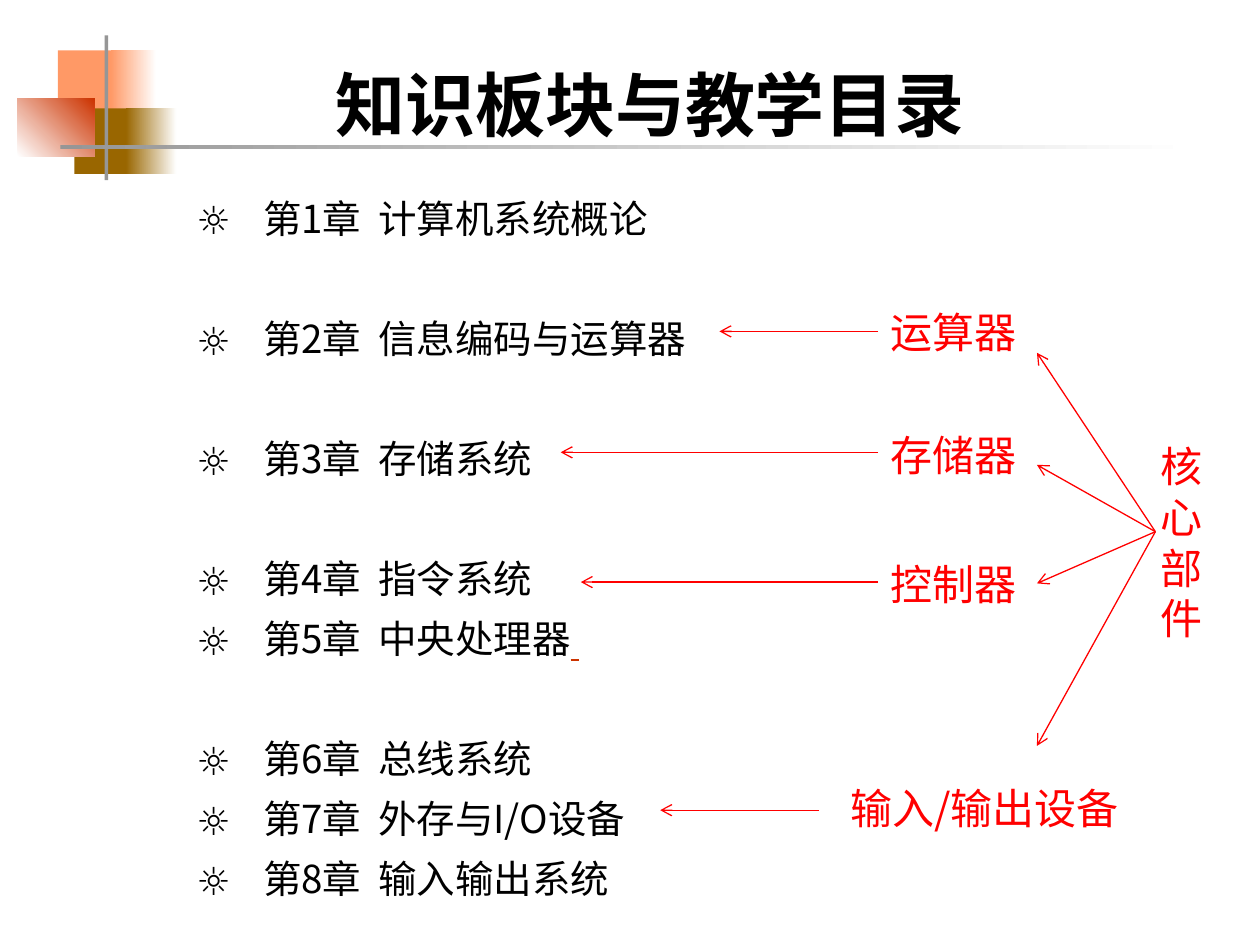
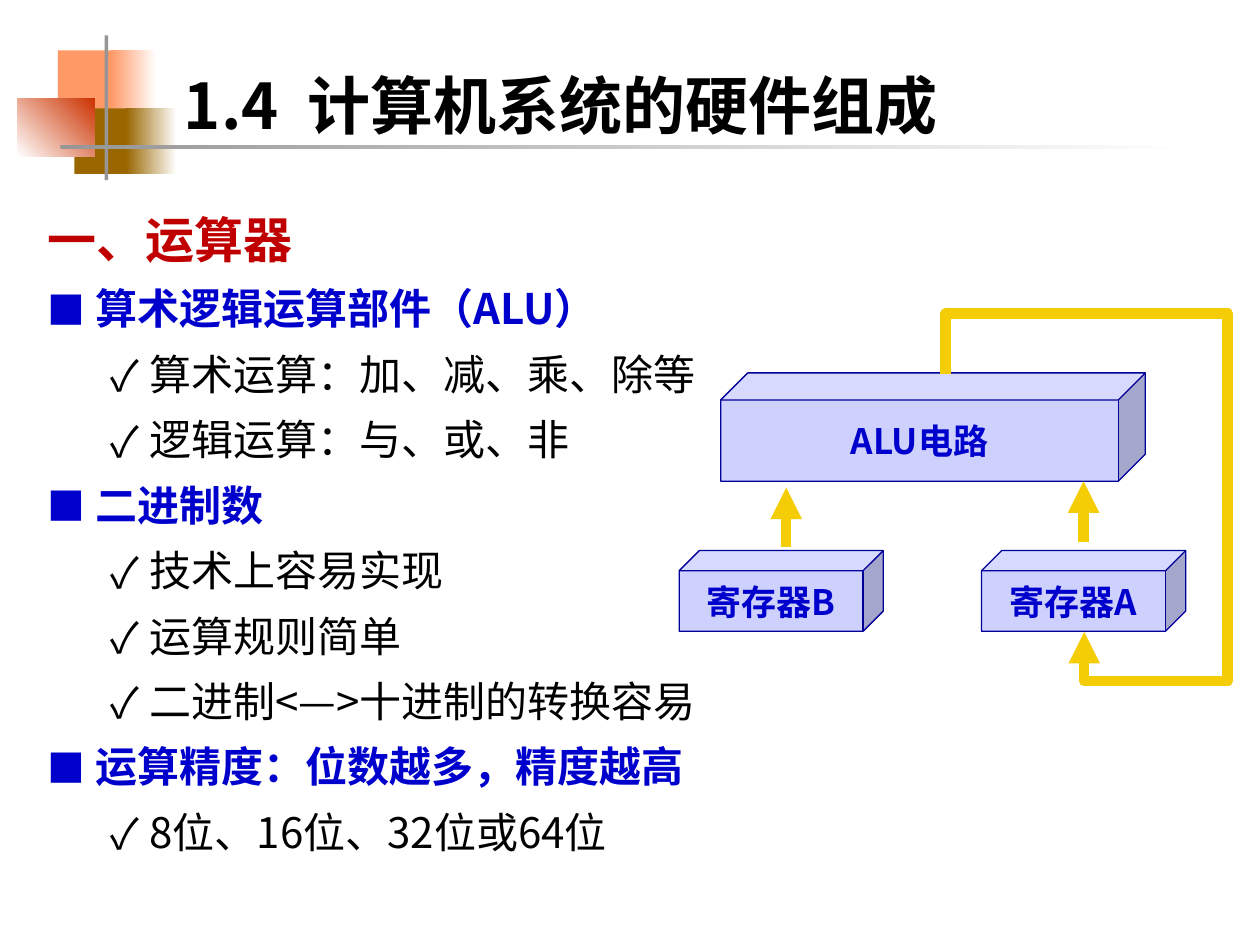
import lxml.etree
import pptx
import pptx.dml.color
import pptx.enum.shapes
import pptx.enum.text
import pptx.oxml.ns
import pptx.util

RGB = pptx.dml.color.RGBColor
SHAPES = pptx.enum.shapes.MSO_SHAPE
CONNECTORS = pptx.enum.shapes.MSO_CONNECTOR
ALIGN = pptx.enum.text.PP_ALIGN
ANCHOR = pptx.enum.text.MSO_ANCHOR

BLACK = RGB(0x00, 0x00, 0x00)
WHITE = RGB(0xFF, 0xFF, 0xFF)
ORANGE = RGB(0xFF, 0x99, 0x66)
BROWN = RGB(0x99, 0x66, 0x00)
BRICK = RGB(0xCC, 0x33, 0x00)
GRAY = RGB(0x96, 0x96, 0x96)
RED = RGB(0xFF, 0x00, 0x00)
DARK_RED = RGB(0xC0, 0x00, 0x00)
BLUE = RGB(0x00, 0x00, 0xCC)
NAVY = RGB(0x00, 0x00, 0x99)
LAVENDER = RGB(0xCE, 0xD0, 0xFE)
GOLD = RGB(0xF5, 0xCD, 0x06)

CJK_FONT = "Noto Sans CJK SC"
EMU_PER_PX = 9144  # 100 px to the inch
LINE_PITCH = 1.56  # line height of lists, relative to the text size

# left, top, width, height, first colour, second colour, gradient angle
MOTIF = [
    (46, 40, 48, 52, ORANGE, None, 0),
    (88, 40, 36, 52, ORANGE, WHITE, 0),
    (59, 86, 46, 52, BROWN, None, 0),
    (100, 86, 40, 52, BROWN, WHITE, 0),
    (14, 78, 61, 46, WHITE, BRICK, 45),
    (83, 28, 3, 115, GRAY, None, 0),
    (48, 115, 900, 3, GRAY, WHITE, 0),
]

# chapter, whether a gap precedes it
CHAPTERS = [
    ("第1章  计算机系统概论", False),
    ("第2章  信息编码与运算器", True),
    ("第3章  存储系统", True),
    ("第4章  指令系统", True),
    ("第5章  中央处理器", False),
    ("第6章  总线系统", True),
    ("第7章  外存与I/O设备", False),
    ("第8章  输入输出系统", False),
]

# part, left, top, width, arrow from x, arrow to x, arrow y, fan arrow end y
CORE_PARTS = [
    ("运算器", 697, 238, 142, 697, 571, 263, 280),
    ("存储器", 697, 336, 142, 697, 445, 359, 369),
    ("控制器", 697, 438, 142, 697, 461, 462, 463),
    ("输入/输出设备", 665, 616, 251, 650, 524, 643, 592),
]
FAN_ORIGIN = (917, 422)
FAN_END_X = 823

ALU_TOPICS = [
    ("算术逻辑运算部件（ALU）", ["算术运算：加、减、乘、除等", "逻辑运算：与、或、非"]),
    ("二进制数", ["技术上容易实现", "运算规则简单", "二进制<—>十进制的转换容易"]),
    ("运算精度：位数越多，精度越高", ["8位、16位、32位或64位"]),
]

CIRCUIT_BLOCKS = [
    ("ALU电路", 572, 296, 337, 86),
    ("寄存器B", 539, 437, 162, 64),
    ("寄存器A", 779, 437, 162, 64),
]


def px(length):
    return pptx.util.Emu(length * EMU_PER_PX)


def place(shape, left, top, width, height):
    shape.left, shape.top = px(left), px(top)
    shape.width, shape.height = px(width), px(height)


def add_xml(parent, tag, **attributes):
    return lxml.etree.SubElement(parent, pptx.oxml.ns.qn(tag), attributes)


def write(paragraph, text, size=24, color=BLACK, bold=False, underline=False,
          latin=CJK_FONT):
    run = paragraph.add_run()
    run.text = text
    font = run.font
    font.size, font.bold, font.underline = pptx.util.Pt(size), bold, underline
    font.color.rgb = color
    font.name = latin
    add_xml(run.font._element, "a:ea", typeface=CJK_FONT)


def add_text_area(slide, left, top, width, height, anchor=ANCHOR.TOP):
    box = slide.shapes.add_textbox(px(left), px(top), px(width), px(height))
    box.text_frame.word_wrap = True
    box.text_frame.vertical_anchor = anchor
    return box.text_frame


def add_list_item(frame, text, size=24, gap_before=False, **text_format):
    """Append a line of fixed height, optionally one line further down."""
    first = frame.paragraphs[0]
    item = frame.add_paragraph() if first.runs else first
    pitch = pptx.util.Pt(round(size * LINE_PITCH, 1))
    item.line_spacing = pitch
    item.space_before = pitch if gap_before else pptx.util.Pt(0)
    write(item, text, size, **text_format)
    return item


def set_bullet(item, mark, margin, hanging, percent=100):
    properties = item._p.get_or_add_pPr()
    properties.set("marL", str(px(margin)))
    properties.set("indent", str(-px(hanging)))
    add_xml(properties, "a:buSzPct", val=str(percent * 1000))
    add_xml(properties, "a:buFont", typeface=CJK_FONT)
    add_xml(properties, "a:buChar", char=mark)


def add_motif(slide):
    for left, top, width, height, start, end, angle in MOTIF:
        block = slide.shapes.add_shape(
            SHAPES.RECTANGLE, px(left), px(top), px(width), px(height))
        block.shadow.inherit = False
        block.line.fill.background()
        if end is None:
            block.fill.solid()
            block.fill.fore_color.rgb = start
            continue
        block.fill.gradient()
        block.fill.gradient_angle = angle
        for stop, color, position in zip(block.fill.gradient_stops, (start, end), (0, 1)):
            stop.color.rgb = color
            stop.position = position


def add_titled_slide(deck, text, area, align, line_spacing, **text_format):
    slide = deck.slides.add_slide(deck.slide_layouts[5])
    add_motif(slide)
    title = slide.shapes.title
    place(title, *area)
    frame = title.text_frame
    frame.word_wrap = True
    frame.auto_size = pptx.enum.text.MSO_AUTO_SIZE.NONE
    frame.vertical_anchor = ANCHOR.MIDDLE
    line = frame.paragraphs[0]
    line.alignment, line.line_spacing = align, line_spacing
    write(line, text, bold=True, **text_format)
    return slide


def add_arrow(slide, start, end, color, width, head, kind=CONNECTORS.STRAIGHT):
    arrow = slide.shapes.add_connector(kind, *map(px, start + end))
    arrow.line.color.rgb = color
    arrow.line.width = pptx.util.Pt(width)
    add_xml(arrow.line._get_or_add_ln(), "a:tailEnd", type=head)
    add_xml(arrow._element.spPr, "a:effectLst")
    return arrow


def add_core_label(slide, text, left, top, width, height):
    frame = add_text_area(slide, left, top, width, height, ANCHOR.MIDDLE)
    write(frame.paragraphs[0], text, color=RED)
    return frame


def add_circuit_block(slide, text, left, top, width, height):
    block = slide.shapes.add_shape(
        SHAPES.CUBE, px(left), px(top), px(width), px(height))
    block.shadow.inherit = False
    block.fill.solid()
    block.fill.fore_color.rgb = LAVENDER
    block.line.color.rgb = NAVY
    block.line.width = pptx.util.Pt(0.75)
    frame = block.text_frame
    frame.word_wrap = False
    frame.vertical_anchor = ANCHOR.MIDDLE
    frame.paragraphs[0].alignment = ALIGN.CENTER
    write(frame.paragraphs[0], text, 20, BLUE, bold=True)


def add_feedback_arrow(slide):
    """Lead the ALU output around the right side and back into register A."""
    feedback = add_arrow(slide, (750, 296), (860, 501), GOLD, 6, "triangle",
                         CONNECTORS.ELBOW)
    place(feedback, 703, 344, 205, 110)
    properties = feedback._element.spPr
    properties.xfrm.set("rot", str(270 * 60000))
    properties.xfrm.set("flipH", "1")
    geometry = properties.find(pptx.oxml.ns.qn("a:prstGeom"))
    geometry.set("prst", "bentConnector5")
    bends = geometry.find(pptx.oxml.ns.qn("a:avLst"))
    for number, bend in enumerate((-23300, 203600, 119100), 1):
        add_xml(bends, "a:gd", name=f"adj{number}", fmla=f"val {bend}")


def build_contents_slide(deck):
    slide = add_titled_slide(deck, "知识板块与教学目录", (146, 51, 740, 71),
                             ALIGN.CENTER, 0.9, size=40, latin="Arial")
    chapters = add_text_area(slide, 146, 139, 480, 591)
    for chapter, gap_before in CHAPTERS:
        item = add_list_item(chapters, chapter, 22, gap_before)
        set_bullet(item, "☼", 53, 53)
        if chapter.startswith("第5章"):
            write(item, " ", 22, BRICK, underline=True)

    core = add_core_label(slide, "核心部件", 911, 344, 70, 172)
    core.paragraphs[0].line_spacing = pptx.util.Pt(29)
    for part, left, top, width, start_x, end_x, y, fan_y in CORE_PARTS:
        add_core_label(slide, part, left, top, width, 50)
        add_arrow(slide, (start_x, y), (end_x, y), RED, 0.75, "arrow")
        add_arrow(slide, FAN_ORIGIN, (FAN_END_X, fan_y), RED, 0.75, "arrow")


def build_hardware_slide(deck):
    slide = add_titled_slide(deck, "1.4  计算机系统的硬件组成", (136, 21, 828, 94),
                             ALIGN.LEFT, 1.5, size=36)
    outline = add_text_area(slide, 28, 147, 864, 583)
    add_list_item(outline, "一、运算器", 28, color=DARK_RED, bold=True)
    for topic, details in ALU_TOPICS:
        item = add_list_item(outline, topic, color=BLUE, bold=True)
        set_bullet(item, "■", 38, 38, 90)
        for detail in details:
            item = add_list_item(outline, detail)
            item.level = 1
            set_bullet(item, "✓", 81, 31)

    for block in CIRCUIT_BLOCKS:
        add_circuit_block(slide, *block)
    add_feedback_arrow(slide)
    for x, start_y, end_y in ((860, 430, 382), (624, 434, 387)):
        add_arrow(slide, (x, start_y), (x, end_y), GOLD, 6, "triangle")


def main():
    deck = pptx.Presentation()
    deck.slide_width, deck.slide_height = px(1000), px(750)
    build_contents_slide(deck)
    build_hardware_slide(deck)
    deck.save("out.pptx")


if __name__ == "__main__":
    main()
